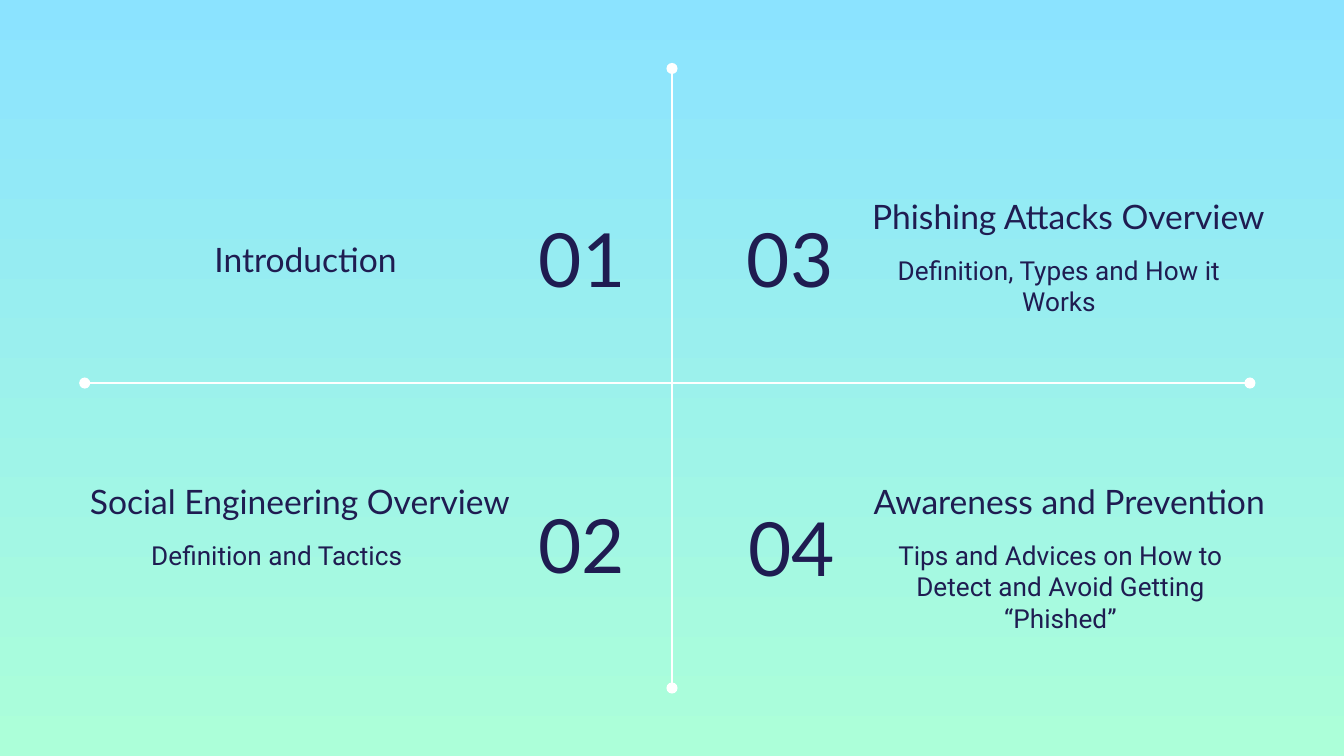
"""Build the four-part contents slide on phishing and social engineering."""
import pptx
import pptx.dml.color
import pptx.enum.shapes
import pptx.enum.text
import pptx.oxml
import pptx.oxml.ns
import pptx.util

ALIGN = pptx.enum.text.PP_ALIGN
ANCHOR = pptx.enum.text.MSO_ANCHOR


def rgb(value):
    return pptx.dml.color.RGBColor.from_string(value)


class Deck:
    INK, LINE = "1F1C51", "FFFFFF"
    TOP, BOTTOM = "8BE3FF", "ACFFD9"
    HEAD, BODY = "Lato", "Roboto"
    INSET = 7.2

    def __init__(self, width, height):
        self.prs = pptx.Presentation()
        self.prs.slide_width = pptx.util.Pt(width)
        self.prs.slide_height = pptx.util.Pt(height)
        self.s = self.prs.slides.add_slide(self.prs.slide_layouts[4])
        self.bodies = [sp for sp in self.s.placeholders if sp != self.s.shapes.title]

    def background(self):
        fill = self.s.background.fill
        fill.gradient()
        fill.gradient_angle = 270
        for stop, value in zip(fill.gradient_stops, (self.TOP, self.BOTTOM)):
            stop.color.rgb = rgb(value)

    def text(self, sp, box, words, size, font, align, anchor):
        sp.left, sp.top, sp.width, sp.height = map(pptx.util.Pt, box)
        tf = sp.text_frame
        tf.word_wrap = True
        tf.auto_size = pptx.enum.text.MSO_AUTO_SIZE.NONE
        tf.vertical_anchor = anchor
        inset = pptx.util.Pt(self.INSET)
        tf.margin_left = tf.margin_right = tf.margin_top = tf.margin_bottom = inset
        p = tf.paragraphs[0]
        p.alignment = align
        p.space_before = pptx.util.Pt(0)
        pPr = p._p.get_or_add_pPr()
        pPr.set("marL", "0")
        pPr.set("indent", "0")
        pptx.oxml.ns.qn("a:buNone")
        pPr.append(pptx.oxml.parse_xml(
            f'<a:buNone {pptx.oxml.ns.nsdecls("a")}/>'))
        r = p.add_run()
        r.text = words
        r.font.name = font
        r.font.size = pptx.util.Pt(size)
        r.font.bold = False
        r.font.color.rgb = rgb(self.INK)

    def textbox(self):
        return self.s.shapes.add_textbox(0, 0, 0, 0)

    def number(self, left, top, words, align):
        sp = self.s.shapes.title
        if sp.has_text_frame and sp.text_frame.text:
            sp = self.textbox()
        self.text(sp, (left, top, 93.6, 62), words, 40, self.HEAD, align, ANCHOR.MIDDLE)

    def heading(self, left, top, width, words, align):
        self.text(self.bodies.pop(0), (left, top, width, 36), words, 18,
                  self.HEAD, align, ANCHOR.BOTTOM)

    def detail(self, left, top, words):
        self.text(self.textbox(), (left, top, 214.6, 49.7), words, 14,
                  self.BODY, ALIGN.CENTER, ANCHOR.TOP)

    def axis(self, x1, y1, x2, y2):
        sp = self.s.shapes.add_connector(
            pptx.enum.shapes.MSO_CONNECTOR.STRAIGHT,
            *map(pptx.util.Pt, (x1, y1, x2, y2)))
        sp.line.color.rgb = rgb(self.LINE)
        sp.line.width = pptx.util.Pt(1.5)
        ns = pptx.oxml.ns.nsdecls("a")
        ln = sp.line._get_or_add_ln()
        for end in ("headEnd", "tailEnd"):
            ln.append(pptx.oxml.parse_xml(f'<a:{end} {ns} type="oval"/>'))
        sp._element.spPr.append(pptx.oxml.parse_xml(f"<a:effectLst {ns}/>"))


def main():
    deck = Deck(720, 405)
    deck.background()
    deck.axis(360, 36.7, 360, 368.6)
    deck.axis(45.4, 205.2, 669.6, 205.2)

    left, right = ALIGN.LEFT, ALIGN.RIGHT
    for x, y, words, align in (
            (281.5, 107.3, "01", left), (281.5, 260, "02", left),
            (360, 107.3, "03", right), (393.8, 262, "04", left)):
        deck.number(x, y, words, align)

    for x, y, width, title, align, detail in (
            (41, 121, 245.5, "Introduction", ALIGN.CENTER, None),
            (41, 250.6, 245.5, "Social Engineering Overview", left,
             "Definition and Tactics"),
            (460, 97.9, 234, "Phishing Attacks Overview", left,
             "Definition, Types and How it Works"),
            (460.8, 250.6, 240.5, "Awareness and Prevention", left,
             "Tips and Advices on How to Detect and Avoid Getting “Phished”")):
        deck.heading(x, y, width, title, align)
        if detail:
            deck.detail(x, y + 31.2, detail)

    deck.prs.save("out.pptx")


if __name__ == "__main__":
    main()
